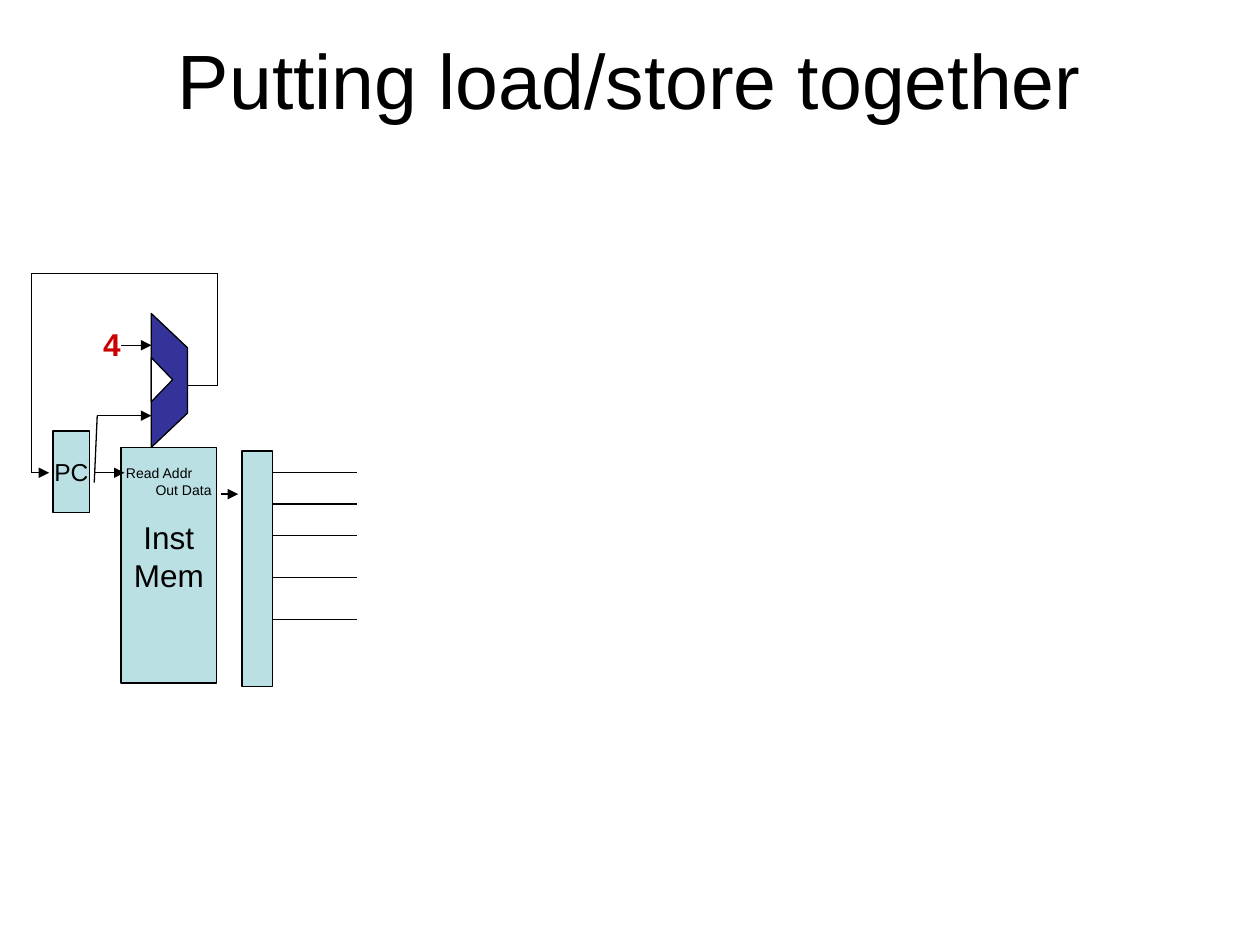
from itertools import pairwise

from lxml.etree import SubElement
from pptx import Presentation
from pptx.dml.color import RGBColor
from pptx.enum.shapes import MSO_CONNECTOR, MSO_SHAPE
from pptx.enum.text import MSO_ANCHOR, PP_ALIGN
from pptx.oxml.ns import qn
from pptx.util import Cm, Pt

BLACK, WHITE, RED = "000000", "FFFFFF", "CC0000"
PALE_BLUE, INDIGO = "BBE0E3", "333399"
LEFT, CENTER, RIGHT = PP_ALIGN.LEFT, PP_ALIGN.CENTER, PP_ALIGN.RIGHT

# All positions and lengths are in centimetres: left, top, width, height
TITLE = ("Putting load/store together", (1.27, 0, 22.86, 3.18))
CONSTANT = ("4", (1.83, 6.43, 0.86, 1.02))
INST_MEM = (2.44, 9.02, 1.93, 4.75)
PC = (1.07, 8.69, 0.74, 1.65)
FIELDS = (4.88, 9.09, 0.61, 4.75)

# text, size, alignment, space before
MEM_LINES = [
    ("Read Addr", 8, LEFT, 0),
    ("Out Data", 8, RIGHT, 0),
    ("Inst", 18, CENTER, 0.4),
    ("Mem", 18, CENTER, 0),
]

ADDER = [(3.05, 9.02), (3.78, 8.33), (3.78, 7.01), (3.05, 6.32)]
ADDER_NOTCH = (2.82, 7.44, 0.89, 0.43)

ARROWS = [
    ((1.9, 9.53), (2.51, 9.53)),    # PC to instruction memory
    ((4.45, 9.96), (4.8, 9.96)),    # memory to instruction fields
    ((0.64, 9.53), (0.99, 9.53)),   # next address to PC
    ((1.96, 8.38), (3.05, 8.38)),   # PC to adder
    ((2.44, 6.96), (3.05, 6.96)),   # constant to adder
]
FEEDBACK = [(3.78, 7.77), (4.39, 7.77), (4.39, 5.51), (0.64, 5.51), (0.64, 9.53)]
PC_BRANCH = [(1.96, 8.38), (1.9, 9.73)]
FIELD_LEFT, FIELD_RIGHT = 5.51, 7.19
FIELD_HEIGHTS = [9.53, 10.16, 10.8, 11.64, 12.49]


def rgb(color):
    return RGBColor.from_string(color)


def cm(values):
    return [Cm(value) for value in values]


def paint(shape, fill):
    shape.shadow.inherit = False
    shape.fill.solid()
    shape.fill.fore_color.rgb = rgb(fill)
    shape.line.color.rgb = rgb(BLACK)
    shape.line.width = Pt(0.75)
    return shape


def add_block(shapes, kind, place, fill):
    return paint(shapes.add_shape(kind, *cm(place)), fill)


def write(paragraph, text, size, align=CENTER, color=BLACK, bold=False):
    paragraph.text = text
    paragraph.alignment = align
    font = paragraph.runs[0].font
    font.name, font.size, font.bold = "Arial", Pt(size), bold
    font.color.rgb = rgb(color)


def add_wire(shapes, start, end, arrow=False):
    wire = shapes.add_connector(MSO_CONNECTOR.STRAIGHT, *cm(start + end))
    wire.line.color.rgb = rgb(BLACK)
    wire.line.width = Pt(0.75)
    if arrow:
        SubElement(wire.line._get_or_add_ln(), qn("a:tailEnd"), type="triangle")
    SubElement(wire._element.spPr, qn("a:effectLst"))


def fill_inst_mem(frame):
    frame.word_wrap = True
    frame.vertical_anchor = MSO_ANCHOR.TOP
    frame.margin_left = frame.margin_right = Cm(0.1)
    frame.margin_top = Cm(0.35)
    for index, (text, size, align, gap) in enumerate(MEM_LINES):
        line = frame.add_paragraph() if index else frame.paragraphs[0]
        write(line, text, size, align)
        line.space_before = Cm(gap)


def main():
    prs = Presentation()
    prs.slide_width, prs.slide_height = Cm(25.4), Cm(19.05)
    shapes = prs.slides.add_slide(prs.slide_layouts[6]).shapes

    text, place = TITLE
    title = shapes.add_textbox(*cm(place)).text_frame
    title.word_wrap = True
    title.vertical_anchor = MSO_ANCHOR.MIDDLE
    write(title.paragraphs[0], text, 44)

    inst_mem = add_block(shapes, MSO_SHAPE.RECTANGLE, INST_MEM, PALE_BLUE)
    fill_inst_mem(inst_mem.text_frame)
    pc = add_block(shapes, MSO_SHAPE.RECTANGLE, PC, PALE_BLUE).text_frame
    pc.word_wrap = False
    pc.vertical_anchor = MSO_ANCHOR.MIDDLE
    write(pc.paragraphs[0], "PC", 14)
    add_block(shapes, MSO_SHAPE.RECTANGLE, FIELDS, PALE_BLUE)

    corners = [cm(point) for point in ADDER]
    outline = shapes.build_freeform(*corners[0])
    outline.add_line_segments(corners[1:], close=True)
    paint(outline.convert_to_shape(), INDIGO)
    notch = add_block(shapes, MSO_SHAPE.ISOSCELES_TRIANGLE, ADDER_NOTCH, WHITE)
    notch.rotation = 90

    for start, end in ARROWS:
        add_wire(shapes, start, end, arrow=True)
    for start, end in pairwise(FEEDBACK):
        add_wire(shapes, start, end)
    add_wire(shapes, *PC_BRANCH)
    for height in FIELD_HEIGHTS:
        add_wire(shapes, (FIELD_LEFT, height), (FIELD_RIGHT, height))

    text, place = CONSTANT
    constant = shapes.add_textbox(*cm(place)).text_frame
    constant.word_wrap = False
    write(constant.paragraphs[0], text, 18, LEFT, RED, bold=True)

    prs.save("out.pptx")


if __name__ == "__main__":
    main()
